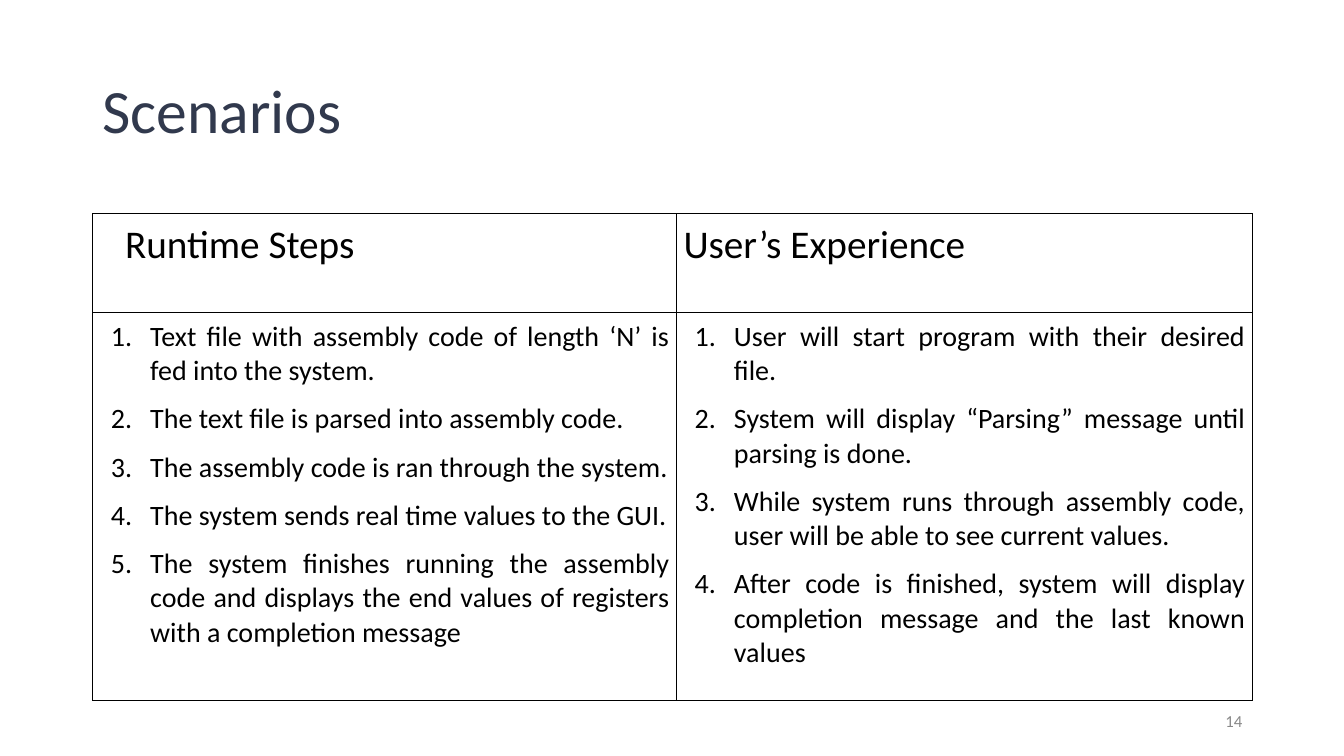
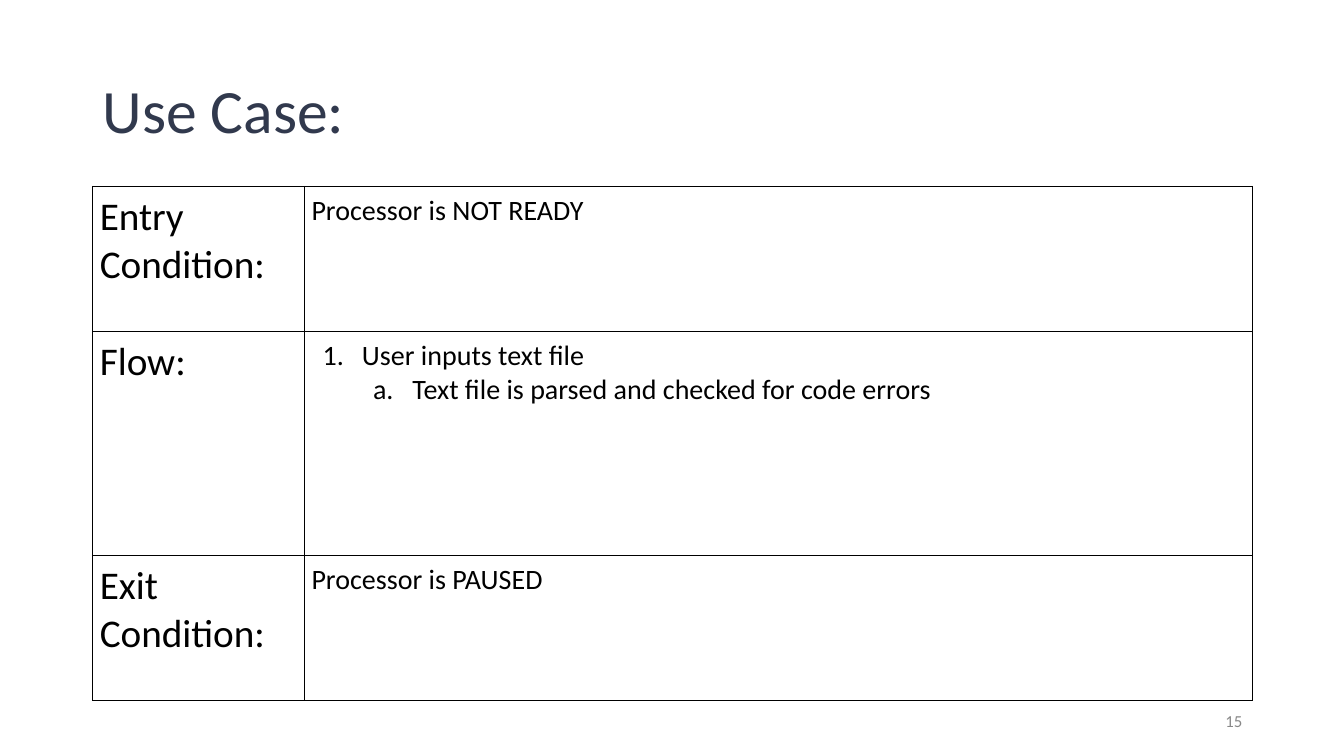
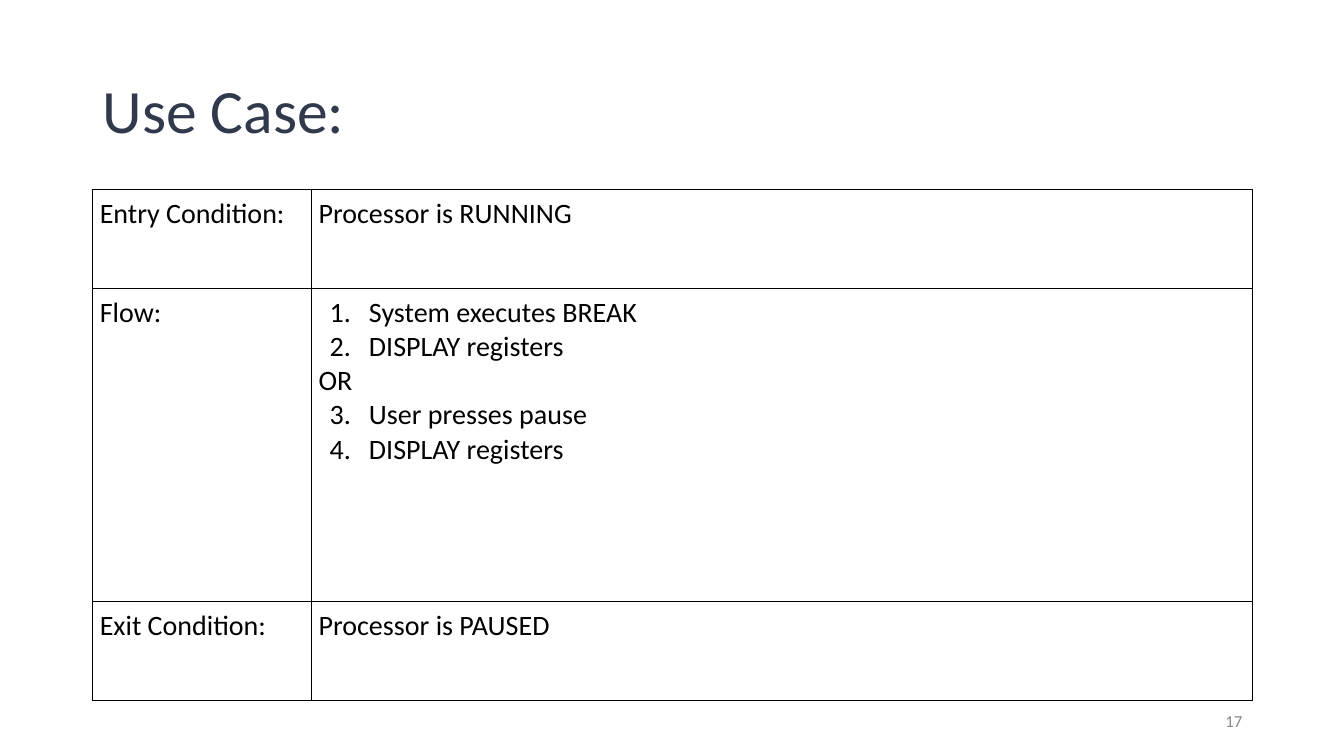
"""Build three slides of scenario and use case tables."""
from dataclasses import dataclass

from lxml import etree
from pptx import Presentation
from pptx import util as u
from pptx.dml.color import RGBColor
from pptx.enum import text
from pptx.oxml import ns

BLACK = RGBColor(0x00, 0x00, 0x00)
TITLE_BLUE = RGBColor(0x31, 0x39, 0x4D)
NUMBER_GREY = RGBColor(0x88, 0x88, 0x88)

FONT = "Calibri"
SLIDE_WIDTH, SLIDE_HEIGHT = 13.33, 7.5
MARGIN = 0.92
CONTENT_WIDTH = 11.5
TABLE_BOTTOM = 6.95
NUMBER_WIDTH = 3
CELL_INSET = 0.07
HEADING_SIZE, BODY_SIZE = 28, 20
LIST_STEP, LIST_HANG = 0.5, -0.39


@dataclass
class Line:
    """One paragraph of a table cell, numbered when a scheme is given."""
    wording: str
    size: int = BODY_SIZE
    scheme: str = ""
    start: int = 1
    level: int = 0
    indent: float = 0
    hang: float = 0
    before: int = 0
    after: int = 0


def numbered(wording, scheme="arabicPeriod", level=0, **spacing):
    """Return a list item with the shared hanging indent."""
    return Line(wording, scheme=scheme, level=level,
                indent=LIST_STEP * (level + 1), hang=LIST_HANG, **spacing)


def spaced_steps(wordings):
    """Return numbered steps with gaps between them and after the last."""
    last = len(wordings) - 1
    return [numbered(wording, before=10 if i else 0, after=10 if i == last else 0)
            for i, wording in enumerate(wordings)]


def add_xml(parent, tag, **attributes):
    """Append a drawing element to its parent."""
    return etree.SubElement(parent, ns.qn(tag), attributes)


def style_font(paragraph, size, color):
    """Give all runs of a paragraph the shared typeface."""
    for run in paragraph.runs:
        run.font.name = FONT
        run.font.size = u.Pt(size)
        run.font.color.rgb = color
        run.font.bold = False


def add_label(slide, wording, box, size, color, align):
    """Add a single line of text, centred vertically in its box."""
    label = slide.shapes.add_textbox(*(u.Inches(length) for length in box))
    frame = label.text_frame
    frame.word_wrap = True
    frame.vertical_anchor = text.MSO_ANCHOR.MIDDLE
    frame.text = wording
    paragraph = frame.paragraphs[0]
    paragraph.alignment = align
    style_font(paragraph, size, color)
    return paragraph


def write_line(paragraph, line):
    """Write one cell paragraph with its indent, spacing and number."""
    paragraph.text = line.wording
    paragraph.alignment = text.PP_ALIGN.JUSTIFY
    paragraph.level = line.level
    paragraph.space_before = u.Pt(line.before)
    paragraph.space_after = u.Pt(line.after)
    style_font(paragraph, line.size, BLACK)
    properties = paragraph._p.get_or_add_pPr()
    properties.set("marL", str(u.Inches(line.indent)))
    properties.set("indent", str(u.Inches(line.hang)))
    if line.scheme:
        add_xml(properties, "a:buFont", typeface=FONT)
        add_xml(properties, "a:buAutoNum", type=line.scheme, startAt=str(line.start))


def add_borders(cell):
    """Draw a thin black line on every side of a cell."""
    properties = cell._tc.get_or_add_tcPr()
    for side in ("a:lnL", "a:lnR", "a:lnT", "a:lnB"):
        border = add_xml(properties, side, w=str(u.Pt(1)))
        fill = add_xml(border, "a:solidFill")
        add_xml(fill, "a:srgbClr", val=str(BLACK))


def fill_cell(cell, lines):
    """Style a cell and write its lines."""
    add_borders(cell)
    cell.fill.background()
    cell.margin_left = cell.margin_right = u.Inches(CELL_INSET)
    cell.margin_top = cell.margin_bottom = u.Inches(CELL_INSET)
    frame = cell.text_frame
    for i, line in enumerate(lines):
        write_line(frame.add_paragraph() if i else frame.paragraphs[0], line)


def add_grid(slide, first_width, row_heights, rows):
    """Add a two-column table that stands on the shared bottom line."""
    height = sum(row_heights)
    table = slide.shapes.add_table(
        len(rows), 2, u.Inches(MARGIN), u.Inches(TABLE_BOTTOM - height),
        u.Inches(CONTENT_WIDTH), u.Inches(height)).table
    table.first_row = table.horz_banding = False
    for column, width in zip(table.columns, (first_width, CONTENT_WIDTH - first_width)):
        column.width = u.Inches(width)
    for row, row_height, contents in zip(table.rows, row_heights, rows):
        row.height = u.Inches(row_height)
        for cell, lines in zip(row.cells, contents):
            fill_cell(cell, lines)


def add_page(deck, title, number):
    """Add a blank slide with its title and slide number."""
    slide = deck.slides.add_slide(deck.slide_layouts[6])
    heading = add_label(slide, title, (MARGIN, 0.4, CONTENT_WIDTH, 1.45),
                        44, TITLE_BLUE, text.PP_ALIGN.LEFT)
    heading.line_spacing = 0.9
    number_left = MARGIN + CONTENT_WIDTH - NUMBER_WIDTH
    add_label(slide, str(number), (number_left, TABLE_BOTTOM, NUMBER_WIDTH, 0.4),
              12, NUMBER_GREY, text.PP_ALIGN.RIGHT)
    return slide


def add_scenarios(deck):
    """Add the scenario steps beside what the user sees."""
    runtime_steps = spaced_steps([
        "Text file with assembly code of length ‘N’ is fed into the system.",
        "The text file is parsed into assembly code.",
        "The assembly code is ran through the system.",
        "The system sends real time values to the GUI.",
        "The system finishes running the assembly code and displays the end values "
        "of registers with a completion message",
    ])
    user_steps = spaced_steps([
        "User will start program with their desired file.",
        "System will display “Parsing” message until parsing is done.",
        "While system runs through assembly code, user will be able to see current values.",
        "After code is finished, system will display completion message and the last "
        "known values",
    ])
    headings = ([Line("Runtime Steps", HEADING_SIZE, indent=0.5, hang=-0.25)],
                [Line("User’s Experience", HEADING_SIZE)])
    add_grid(add_page(deck, "Scenarios", 14), 5.79, (0.98, 3.85),
             (headings, (runtime_steps, user_steps)))


def add_use_case(deck, number, label_width, label_size, row_heights, entry, flow, leave):
    """Add a use case with its entry condition, flow and exit condition."""
    labels = ("Entry Condition:", "Flow:", "Exit Condition:")
    contents = ([Line(entry)], flow, [Line(leave)])
    rows = [([Line(label, label_size)], lines) for label, lines in zip(labels, contents)]
    add_grid(add_page(deck, "Use Case:", number), label_width, row_heights, rows)


def main():
    """Build and save the deck."""
    deck = Presentation()
    deck.slide_width = u.Inches(SLIDE_WIDTH)
    deck.slide_height = u.Inches(SLIDE_HEIGHT)
    add_scenarios(deck)
    loading = [numbered("User inputs text file"),
               numbered("Text file is parsed and checked for code errors",
                        "alphaLcPeriod", level=1)]
    add_use_case(deck, 15, 2.1, HEADING_SIZE, (1.44, 2.22, 1.44),
                 "Processor is NOT READY", loading, "Processor is PAUSED")
    pausing = [numbered("System executes BREAK"),
               numbered("DISPLAY registers"),
               Line("OR"),
               numbered("User presses pause", start=3),
               numbered("DISPLAY registers", start=3)]
    add_use_case(deck, 17, 2.17, BODY_SIZE, (0.98, 3.11, 0.98),
                 "Processor is RUNNING", pausing, "Processor is PAUSED")
    deck.save("out.pptx")


if __name__ == "__main__":
    main()
